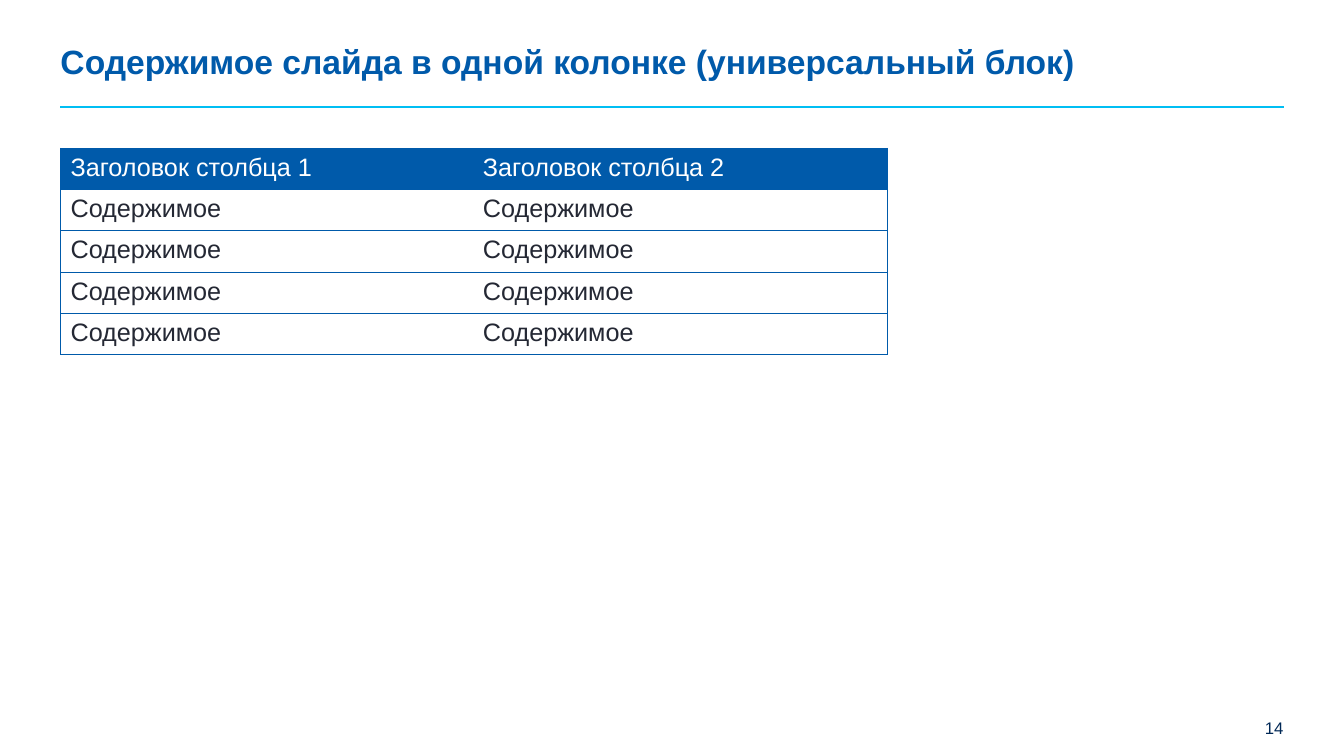
from pptx import Presentation
from pptx.dml.color import RGBColor
from pptx.enum.shapes import MSO_CONNECTOR as Link
from pptx.enum.text import MSO_ANCHOR as Anchor, PP_ALIGN as Align
from pptx.oxml.ns import qn
from pptx.util import Inches, Pt
from lxml.etree import SubElement

BLUE, CYAN, NAVY, DARK, WHITE = "005AAA", "00BEF3", "002856", "242834", "FFFFFF"
LEFT, RIGHT = 0.6, 12.73


def color(code):
    return RGBColor.from_string(code)


class Page:
    def __init__(self, deck, font="Arial"):
        self.font = font
        self.slide = deck.slides.add_slide(deck.slide_layouts[5])

    def add_text(self, para, text, size, tint, bold=False):
        run = para.add_run()
        run.text = text
        font = run.font
        font.name, font.size, font.bold = self.font, Pt(size), bold
        font.color.rgb = color(tint)

    def frame(self, shape, anchor):
        """Strip the margins of a text shape and return its first paragraph."""
        body = shape.text_frame
        body.margin_left = body.margin_right = 0
        body.margin_top = body.margin_bottom = 0
        body.word_wrap = True
        body.vertical_anchor = anchor
        return body.paragraphs[0]

    def title(self, text, x, y, w, h):
        shape = self.slide.shapes.title
        shape.left, shape.top = Inches(x), Inches(y)
        shape.width, shape.height = Inches(w), Inches(h)
        para = self.frame(shape, Anchor.MIDDLE)
        para.alignment = Align.LEFT
        para.line_spacing = 0.9
        self.add_text(para, text, 24, BLUE, True)

    def rule(self, x1, x2, y):
        line = self.slide.shapes.add_connector(
            Link.STRAIGHT, Inches(x1), Inches(y), Inches(x2), Inches(y))
        line.line.color.rgb = color(CYAN)
        line.line.width = Pt(1.25)
        SubElement(line._element.spPr, qn("a:effectLst"))

    def number(self, text, x, y, w, h):
        box = self.slide.shapes.add_textbox(
            Inches(x), Inches(y), Inches(w), Inches(h))
        para = self.frame(box, Anchor.TOP)
        para.alignment = Align.RIGHT
        self.add_text(para, text, 12, NAVY)

    def border(self, cell, sides):
        """Draw the named sides (of L, R, T, B) and clear the others."""
        props = cell._tc.get_or_add_tcPr()
        for side in "LRTB":
            line = SubElement(props, qn(f"a:ln{side}"), w=str(Pt(0.5)))
            if side in sides:
                fill = SubElement(line, qn("a:solidFill"))
                SubElement(fill, qn("a:srgbClr"), val=BLUE)
            else:
                SubElement(line, qn("a:noFill"))

    def table(self, rows, x, y, widths, step):
        grid = self.slide.shapes.add_table(
            len(rows), len(widths), Inches(x), Inches(y),
            Inches(sum(widths)), Inches(step * len(rows))).table
        grid.horz_banding = False
        for col, width in zip(grid.columns, widths):
            col.width = Inches(width)
        for i, row in enumerate(rows):
            grid.rows[i].height = Inches(step)
            for j, text in enumerate(row):
                cell = grid.cell(i, j)
                edge = "L" * (j == 0) + "R" * (j == len(row) - 1)
                self.border(cell, "TB" + edge)
                if i == 0:
                    cell.fill.solid()
                    cell.fill.fore_color.rgb = color(BLUE)
                else:
                    cell.fill.background()
                self.add_text(cell.text_frame.paragraphs[0], text, 18,
                              DARK if i else WHITE)


def main():
    deck = Presentation()
    deck.slide_width, deck.slide_height = Inches(13.33), Inches(7.5)
    page = Page(deck)
    page.rule(LEFT, RIGHT, 1.06)
    page.number("14", 10.07, 7.12, RIGHT - 10.07, 0.2)
    page.title("Содержимое слайда в одной колонке (универсальный блок)",
               LEFT, 0.45, 10.51, 0.36)
    head = ["Заголовок столбца 1", "Заголовок столбца 2"]
    page.table([head] + [["Содержимое"] * 2] * 4, LEFT, 1.47, [4.09, 4.11], 0.41)
    deck.save("out.pptx")


if __name__ == "__main__":
    main()
